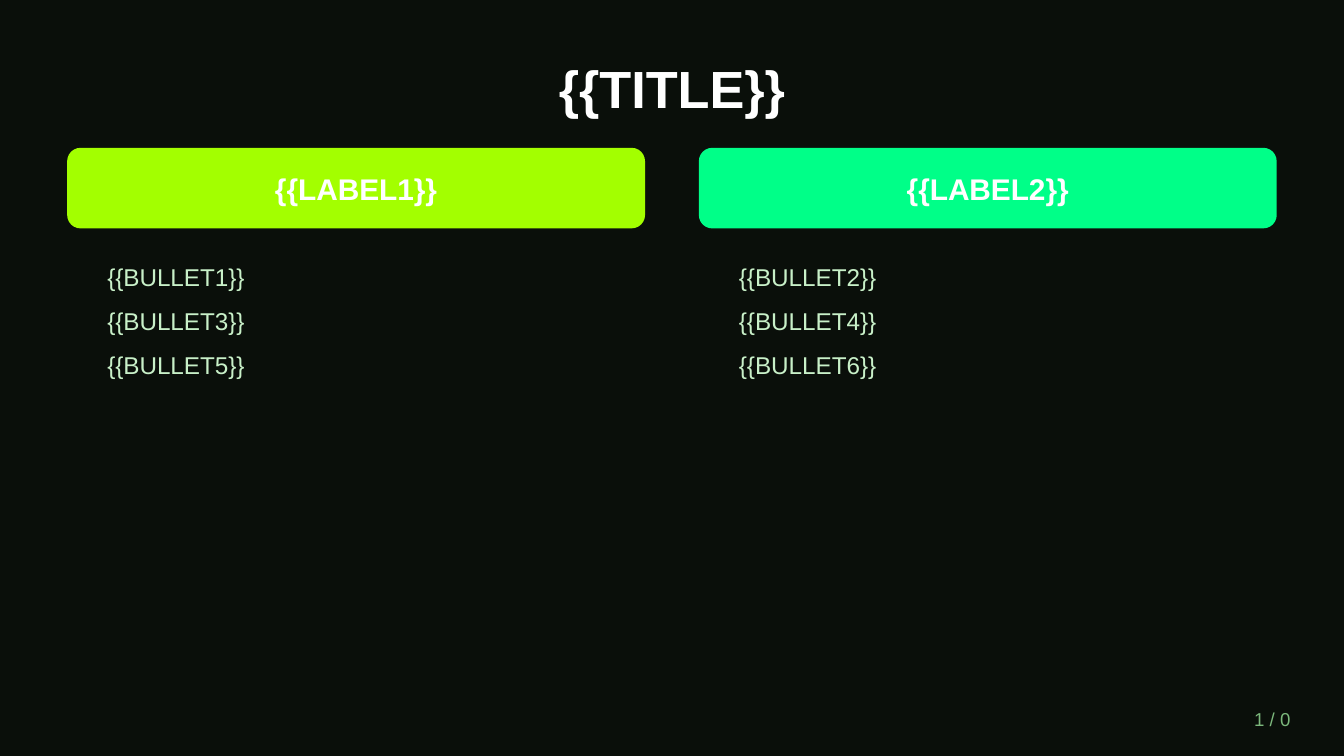
"""Build a two-column comparison slide on a dark background."""
import pptx
import pptx.dml.color
import pptx.enum.shapes
import pptx.enum.text
import pptx.util

Inches = pptx.util.Inches
Align = pptx.enum.text.PP_ALIGN
Anchor = pptx.enum.text.MSO_ANCHOR


def paint(color, code):
    """Set a colour from a hex string."""
    color.rgb = pptx.dml.color.RGBColor.from_string(code)


def write(shape, lines, size, code, bold=False, align=Align.LEFT,
          anchor=Anchor.MIDDLE, after=0):
    """Fill a shape with evenly styled paragraphs."""
    frame = shape.text_frame
    frame.text = "\n".join(lines)
    frame.word_wrap = True
    frame.auto_size = pptx.enum.text.MSO_AUTO_SIZE.NONE
    frame.vertical_anchor = anchor
    for par in frame.paragraphs:
        par.alignment = align
        par.space_after = pptx.util.Pt(after)
        par.font.name = "Arial"
        par.font.size = pptx.util.Pt(size)
        par.font.bold = bold
        paint(par.font.color, code)


def add_title(slide, text):
    """Place and style the title."""
    title = slide.shapes.title
    title.left, title.top = Inches(0.5), Inches(0.3)
    title.width, title.height = Inches(9), Inches(0.7)
    write(title, [text], 28, "FFFFFF", True, Align.CENTER)


def add_label(slide, left, text, fill):
    """Add a rounded bar with a column header over it."""
    kind = pptx.enum.shapes.MSO_SHAPE.ROUNDED_RECTANGLE
    area = Inches(left), Inches(1.1), Inches(4.3), Inches(0.6)
    bar = slide.shapes.add_shape(kind, *area)
    bar.shadow.inherit = False
    bar.fill.solid()
    paint(bar.fill.fore_color, fill)
    bar.line.fill.background()
    box = slide.shapes.add_textbox(*area)
    write(box, [text], 16, "FFFFFF", True, Align.CENTER)


def add_points(slide, left, lines):
    """Add the list of points below a header."""
    box = slide.shapes.add_textbox(
        Inches(left), Inches(1.9), Inches(3.9), Inches(2.8))
    write(box, lines, 13, "C8F0C8", anchor=Anchor.TOP, after=8)


def add_page(slide, text):
    """Add the page count in the lower right corner."""
    box = slide.shapes.add_textbox(
        Inches(8.5), Inches(5.2), Inches(1.2), Inches(0.3))
    write(box, [text], 10, "7CB87C", align=Align.RIGHT)


def main():
    """Build and save the slide."""
    deck = pptx.Presentation()
    deck.slide_width = Inches(10)
    deck.slide_height = Inches(10 * 9 / 16)
    slide = deck.slides.add_slide(deck.slide_layouts[5])
    slide.background.fill.solid()
    paint(slide.background.fill.fore_color, "0A0F0A")
    add_title(slide, "{{TITLE}}")
    columns = [
        ("{{LABEL1}}", "A3FF00",
         ["{{BULLET1}}", "{{BULLET3}}", "{{BULLET5}}"]),
        ("{{LABEL2}}", "00FF88",
         ["{{BULLET2}}", "{{BULLET4}}", "{{BULLET6}}"]),
    ]
    for col, (label, fill, lines) in enumerate(columns):
        left = 0.5 + 4.7 * col
        add_label(slide, left, label, fill)
        add_points(slide, left + 0.2, lines)
    add_page(slide, "1 / 0")
    deck.save("out.pptx")


if __name__ == "__main__":
    main()
